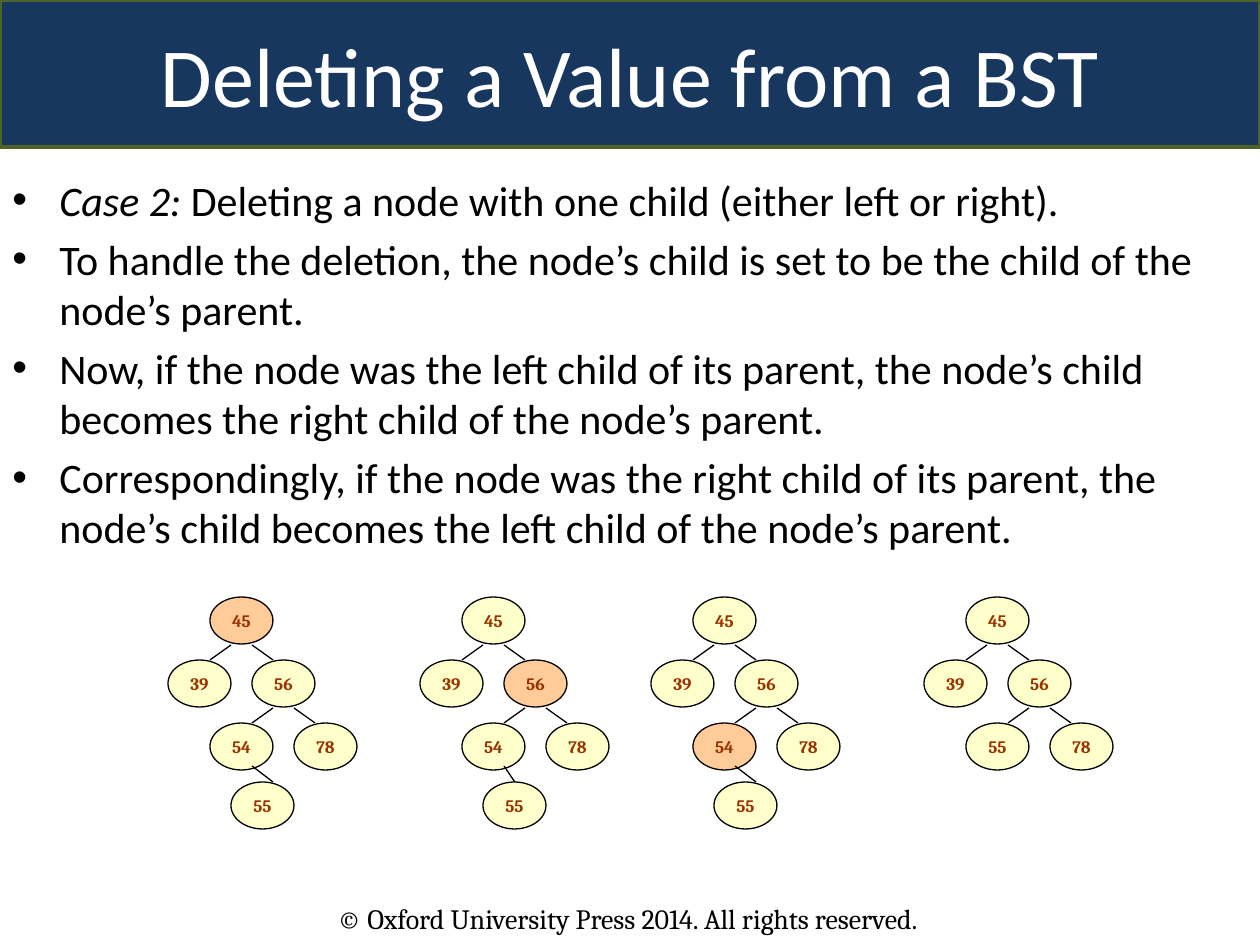
from lxml import etree
from pptx import Presentation
from pptx.dml.color import RGBColor
from pptx.enum.shapes import MSO_CONNECTOR, MSO_SHAPE
from pptx.enum.text import MSO_ANCHOR, PP_ALIGN
from pptx.oxml.ns import qn
from pptx.util import Pt

OVAL, ROUND = MSO_SHAPE.OVAL, MSO_SHAPE.ROUNDED_RECTANGLE
LINE = MSO_CONNECTOR.STRAIGHT
LEFT, CENTER = PP_ALIGN.LEFT, PP_ALIGN.CENTER
MIDDLE = MSO_ANCHOR.MIDDLE
SCALE = 914400 / 126
WIDE, HIGH = 63, 47

SPOTS = ((42, 597), (0, 660), (84, 660), (126, 723), (42, 723), (63, 782))
PARENTS = (None, 0, 0, 2, 2, 4)
TREES = (
    (168, "45", 0),
    (420, "56", 15),
    (651, "54", 0),
    (924, None, 0),
)
FULL = ("45", "39", "56", "78", "54", "55")
FINAL = ("45", "39", "56", "78", "55")

POINTS = (
    (("Case 2:", True), (" Deleting a node with one child (either left or right).", False)),
    (("To handle the deletion, the node’s child is set to be the child of the "
      "node’s parent.", False),),
    (("Now, if the node was the left child of its parent, the node’s child "
      "becomes the right child of the node’s parent.", False),),
    (("Correspondingly, if the node was the right child of its parent, the "
      "node’s child becomes the left child of the node’s parent.", False),),
)


def px(n):
    return round(n * SCALE)


def color(code):
    return RGBColor.from_string(code)


def write(par, text, font="Calibri", size=24, ink="000000", bold=False,
          slant=False, align=LEFT):
    par.alignment = align
    run = par.add_run()
    run.text = text
    face = run.font
    face.name, face.size = font, Pt(size)
    face.bold, face.italic = bold, slant
    face.color.rgb = color(ink)


class Board:
    navy, olive, black = "17375E", "4F6228", "000000"
    cream, peach, rust = "FFFFCC", "FFCC99", "993300"

    def __init__(self, slide):
        self.slide = slide
        self.host = slide.shapes

    def group(self):
        self.host = self.slide.shapes.add_group_shape().shapes

    def shape(self, kind, x, y, w, h, fill, edge, width):
        item = self.host.add_shape(kind, px(x), px(y), px(w), px(h))
        item.shadow.inherit = False
        item.fill.solid()
        item.fill.fore_color.rgb = color(fill)
        item.line.color.rgb = color(edge)
        item.line.width = Pt(width)
        item.text_frame.vertical_anchor = MIDDLE
        return item

    def title(self, text):
        bar = self.shape(ROUND, 0, 0, 1260, 147, self.navy, self.olive, 2)
        bar.adjustments[0] = 0
        write(bar.text_frame.paragraphs[0], text, size=48, ink="FFFFFF", align=CENTER)

    def box(self, x, y, w, h):
        frame = self.host.add_textbox(px(x), px(y), px(w), px(h)).text_frame
        frame.word_wrap = True
        return frame

    def bullets(self, points):
        frame = self.box(0, 168, 1228, 220)
        for i, runs in enumerate(points):
            par = frame.add_paragraph() if i else frame.paragraphs[0]
            props = par._p.get_or_add_pPr()
            props.set("marL", str(px(47)))
            props.set("indent", str(px(-47)))
            etree.SubElement(props, qn("a:buFont")).set("typeface", "Arial")
            etree.SubElement(props, qn("a:buChar")).set("char", "•")
            if i:
                par.space_before = Pt(4.8)
            for text, slant in runs:
                write(par, text, slant=slant)

    def edge(self, x1, y1, x2, y2):
        item = self.host.add_connector(LINE, px(x1), px(y1), px(x2), px(y2))
        item.line.color.rgb = color(self.black)
        item.line.width = Pt(0.75)
        etree.SubElement(item._element.spPr, qn("a:effectLst"))

    def node(self, x, y, text, fill):
        item = self.shape(OVAL, x, y, WIDE, HIGH, fill, self.black, 0.75)
        frame = item.text_frame
        frame.margin_left = frame.margin_right = 0
        frame.margin_top = frame.margin_bottom = 0
        write(frame.paragraphs[0], text, font="Cambria", size=10,
              ink=self.rust, bold=True, align=CENTER)

    def tree(self, left, values, mark, extra):
        self.group()
        for value, (x, y), top in zip(values, SPOTS, PARENTS):
            if top is not None:
                px0, py0 = SPOTS[top]
                start, end = (21, 0) if x < px0 else (42, 63)
                last = top == 4
                self.edge(left + px0 + start, py0 + (43 if last else 48),
                          left + px0 + end, y + (extra if last else 0))
            self.node(left + x, y, value, self.peach if value == mark else self.cream)


def main():
    deck = Presentation()
    deck.slide_width, deck.slide_height = px(1260), px(945)
    board = Board(deck.slides.add_slide(deck.slide_layouts[6]))
    footer = board.box(325, 895, 746, 47)
    write(footer.paragraphs[0], "© Oxford University Press 2014. All rights reserved.",
          font="Cambria", size=16)
    board.title("Deleting a Value from a BST")
    board.bullets(POINTS)
    for left, mark, extra in TREES:
        board.tree(left, FULL if mark else FINAL, mark, extra)
    deck.save("out.pptx")


if __name__ == "__main__":
    main()
